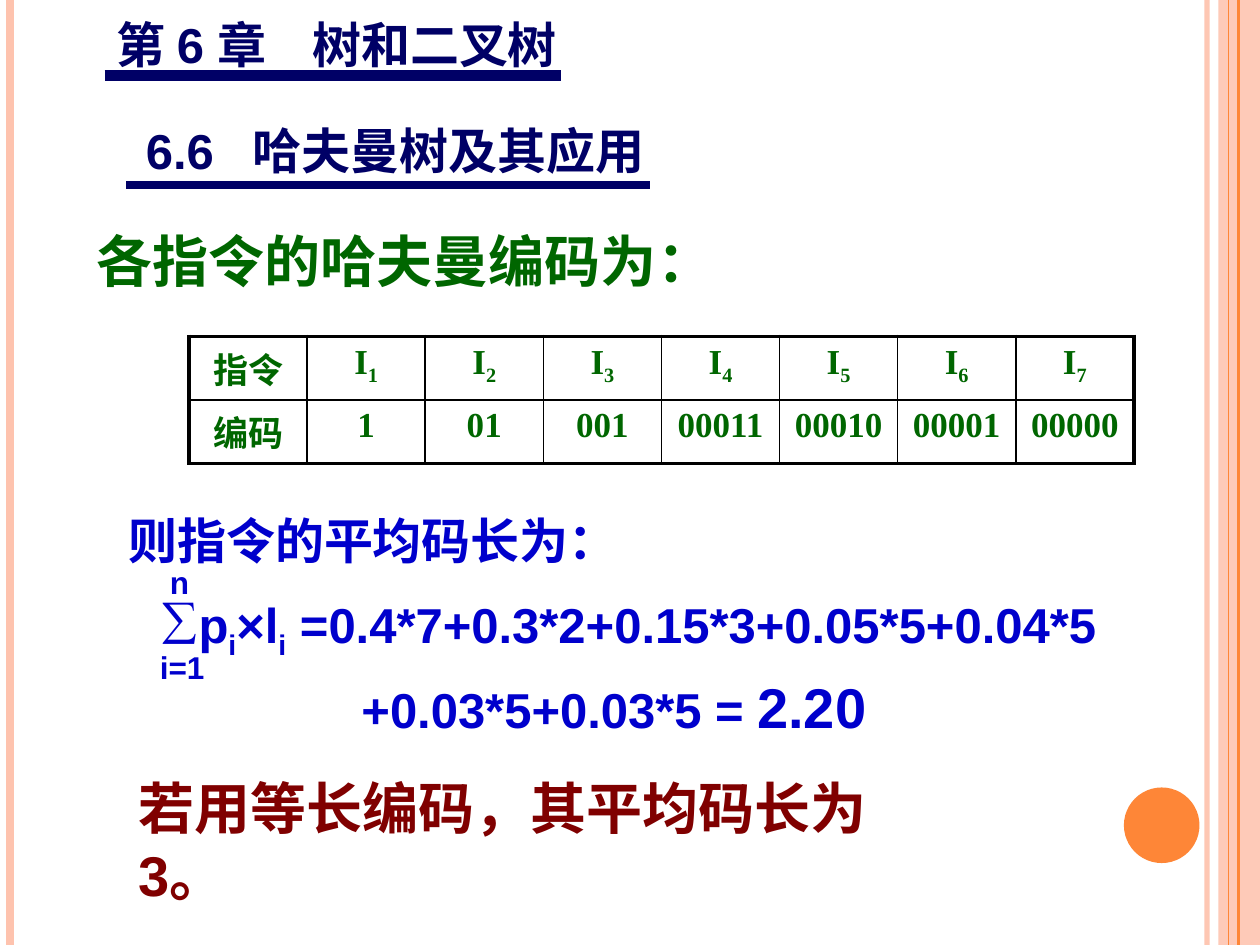
from lxml.etree import SubElement
from pptx import Presentation
from pptx.dml.color import RGBColor
from pptx.enum.shapes import MSO_CONNECTOR, MSO_SHAPE
from pptx.enum.text import PP_ALIGN
from pptx.oxml.ns import qn
from pptx.util import Inches, Pt

color = RGBColor.from_string
NAVY, GREEN, BLUE, MAROON = "000066", "006600", "0000CC", "800000"
PINK, ORANGE = "FEC3AE", "FE8637"


def set_alpha(properties, percent):
    for tint in properties.iter(qn("a:srgbClr")):
        SubElement(tint, qn("a:alpha"), val=str(percent * 1000))


def add_spans(para, parts, font_name, size, hex_color):
    """Add one run per part; a leading underscore makes the part a subscript."""
    for part in parts:
        span = para.add_run()
        span.text = part.removeprefix("_")
        style = {"name": font_name, "size": Pt(size), "bold": True}
        for key, value in style.items():
            setattr(span.font, key, value)
        span.font.color.rgb = color(hex_color)
        if part.startswith("_"):
            span._r.get_or_add_rPr().set("baseline", "-25000")


deck = Presentation()
deck.slide_width, deck.slide_height = Inches(10), Inches(7.5)
page = deck.slides.add_slide(deck.slide_layouts[6])
shapes = page.shapes

# Side bands and dot, back to front; the title rules come last
band = shapes.add_shape(MSO_SHAPE.RECTANGLE, Inches(9.67), 0, Inches(0.33), Inches(7.5))
dot = shapes.add_shape(MSO_SHAPE.OVAL, Inches(8.92), Inches(6.25), Inches(0.6), Inches(0.6))
for shape, fill in ((band, PINK), (dot, ORANGE)):
    shape.shadow.inherit = False
    shape.fill.solid()
    shape.fill.fore_color.rgb = color(fill)
    shape.line.fill.background()
set_alpha(band._element.spPr, 87)

lines = [
    (9.58, 0, 9.58, 7.5, PINK, 3, 93),
    (0.08, 0, 0.08, 7.5, PINK, 4.5, 100),
    (9.83, 0, 9.83, 7.5, ORANGE, 1.5, 100),
    (9.75, 0, 9.75, 7.5, ORANGE, 0.75, 100),
    (1, 1.47, 5.16, 1.47, NAVY, 4.25, 100),
    (0.83, 0.6, 4.45, 0.6, NAVY, 6, 100),
]
for x1, y1, x2, y2, hex_color, width, alpha in lines:
    line = shapes.add_connector(
        MSO_CONNECTOR.STRAIGHT, Inches(x1), Inches(y1), Inches(x2), Inches(y2))
    line.line.color.rgb = color(hex_color)
    line.line.width = Pt(width)
    if alpha < 100:
        set_alpha(line._element.spPr, alpha)
    SubElement(line._element.spPr, qn("a:effectLst"))

# Code table
codes = ["1", "01", "001", "00011", "00010", "00001", "00000"]
rows = [
    [["指令"]] + [["I", f"_{number}"] for number in range(1, len(codes) + 1)],
    [["编码"]] + [[code] for code in codes],
]
last_row, last_column = len(rows) - 1, len(codes)
table = shapes.add_table(len(rows), len(codes) + 1, Inches(1.5), Inches(2.67),
                         Inches(7.5), Inches(0.96)).table
for r, row in enumerate(rows):
    for c, parts in enumerate(row):
        cell = table.cell(r, c)
        para = cell.text_frame.paragraphs[0]
        para.alignment = PP_ALIGN.CENTER
        add_spans(para, parts, "Times New Roman", 20, GREEN)
        cell.margin_left = cell.margin_right = Inches(0.05)
        properties = cell._tc.get_or_add_tcPr()
        outer = {"lnL": c == 0, "lnR": c == last_column,
                 "lnT": r == 0, "lnB": r == last_row}
        for side, is_outer in outer.items():
            border = SubElement(properties, qn(f"a:{side}"),
                                w=str(Pt(2.25 if is_outer else 1)))
            SubElement(SubElement(border, qn("a:solidFill")),
                       qn("a:srgbClr"), val="000000")
        cell.fill.background()

# Text: left, top, width, height, size, colour, parts, tab stop
texts = [
    (0.83, 0.07, 3.7, 0.57, 28, NAVY, ["第 6 章\t树和二叉树"], 1.55),
    (1.06, 0.91, 4.17, 0.57, 28, NAVY, ["6.6\t哈夫曼树及其应用"], 0.85),
    (0.67, 1.75, 5, 0.63, 32, GREEN, ["各指令的哈夫曼编码为："], None),
    (0.92, 4, 5.68, 0.57, 28, BLUE, ["则指令的平均码长为："], None),
    (1.25, 4.42, 2.39, 0.4, 18, BLUE, ["n"], None),
    (1.17, 5.09, 2.39, 0.4, 18, BLUE, ["i=1"], None),
    (1.17, 4.67, 7.85, 1.21, 28, BLUE,
     ["p", "_i", "×l", "_i", " =0.4*7+0.3*2+0.15*3+0.05*5+0.04*5"], None),
    (1, 6.09, 6.81, 0.63, 32, MAROON, ["若用等长编码，其平均码长为3。"], None),
]
boxes = []
for left, top, width, height, size, hex_color, parts, tab in texts:
    box = shapes.add_textbox(Inches(left), Inches(top), Inches(width), Inches(height))
    box.text_frame.word_wrap = True
    para = box.text_frame.paragraphs[0]
    if tab:
        tabs = SubElement(para._p.get_or_add_pPr(), qn("a:tabLst"))
        SubElement(tabs, qn("a:tab"), pos=str(Inches(tab)), algn="l")
    add_spans(para, parts, "Arial", size, hex_color)
    boxes.append(box)

# The sum sign is the bullet of the formula, whose second line is indented
formula, conclusion = boxes[-2:]
properties = formula.text_frame.paragraphs[0]._p.get_or_add_pPr()
properties.set("marL", str(Inches(0.27)))
properties.set("indent", str(-Inches(0.27)))
SubElement(properties, qn("a:buChar"), char="∑")
para = formula.text_frame.add_paragraph()
para.space_before = Pt(6)
para._p.get_or_add_pPr().set("marL", str(Inches(1.6)))
add_spans(para, ["+0.03*5+0.03*5 = "], "Arial", 28, BLUE)
add_spans(para, ["2.20"], "Arial", 32, BLUE)

conclusion.text_frame.margin_right = Inches(0.7)

deck.save("out.pptx")
